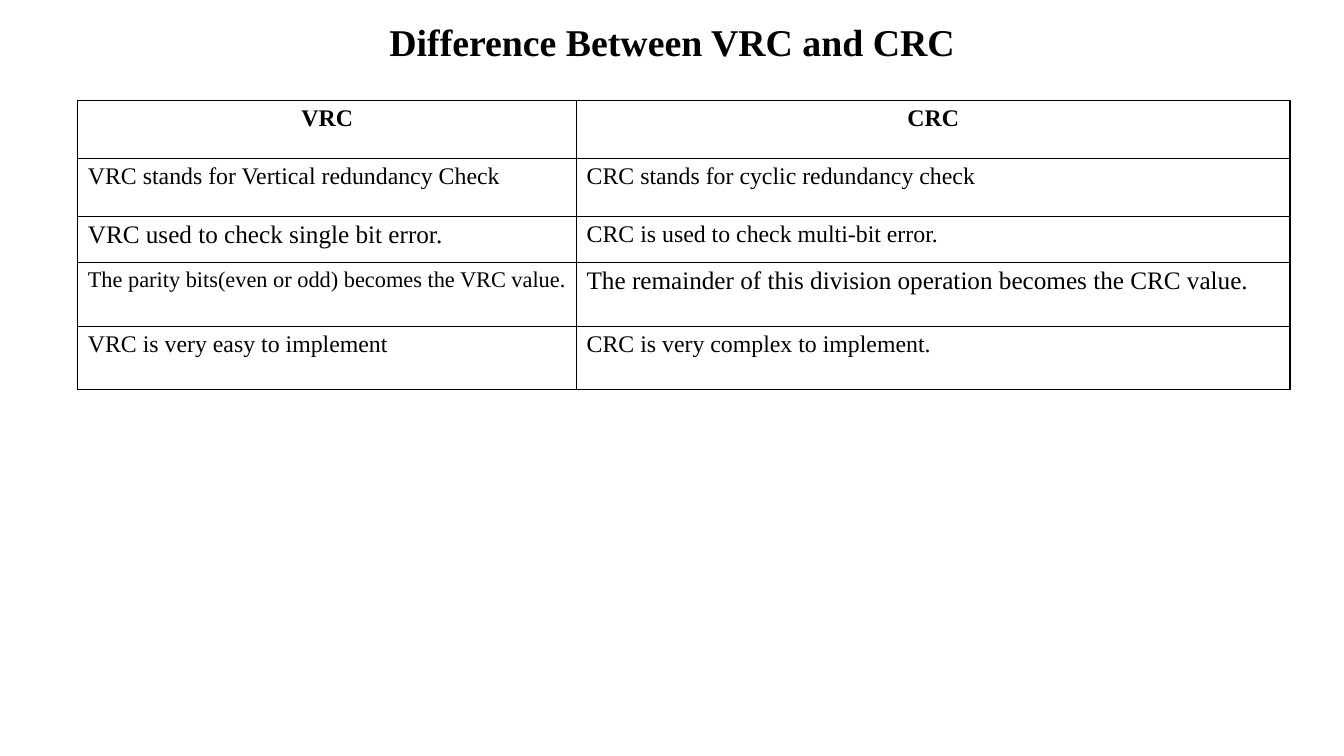
from dataclasses import dataclass

from lxml import etree
from pptx import Presentation
from pptx import util as u
from pptx.dml.color import RGBColor
from pptx.enum import text
from pptx.oxml.ns import qn


@dataclass(frozen=True)
class Theme:
    """Colours, font and type sizes of the slide."""
    font: str = "Times New Roman"
    ink: str = "000000"
    paper: str = "FFFFFF"
    title: int = 27
    large: int = 18
    body: int = 17
    small: int = 16
    border: int = 1


THEME = Theme()
COL_WIDTHS = (12.57, 17.98)
ROW_HEIGHTS = (1.46, 1.46, 1.16, 1.61, 1.59)
HEADINGS = ("VRC", "CRC")
COMPARISON = (
    (("VRC stands for Vertical redundancy Check", THEME.body),
     ("CRC stands for cyclic redundancy check", THEME.body)),
    (("VRC used to check single bit error.", THEME.large),
     ("CRC is used to check multi-bit error.", THEME.body)),
    (("The parity bits(even or odd) becomes the VRC value.", THEME.small),
     ("The remainder of this division operation becomes the CRC value.", THEME.large)),
    (("VRC is very easy to implement", THEME.body),
     ("CRC is very complex to implement.", THEME.body)),
)


def write(tf, content, size=THEME.body, bold=False, align=text.PP_ALIGN.LEFT):
    """Put one formatted paragraph into a text frame."""
    tf.word_wrap = True
    p = tf.paragraphs[0]
    p.alignment = align
    r = p.add_run()
    r.text = content
    r.font.name = THEME.font
    r.font.size = u.Pt(size)
    r.font.bold = bold
    r.font.color.rgb = RGBColor.from_string(THEME.ink)


def add_title(s, content):
    """Add the centred slide title."""
    sp = s.shapes.add_textbox(u.Cm(1.7), u.Cm(0.33), u.Cm(30.48), u.Cm(1.42))
    sp.text_frame.vertical_anchor = text.MSO_ANCHOR.MIDDLE
    write(sp.text_frame, content, size=THEME.title, bold=True,
          align=text.PP_ALIGN.CENTER)


def style_cell(cell):
    """Give a cell a plain fill and a thin line on every side."""
    tc_pr = cell._tc.get_or_add_tcPr()
    for side in ("lnL", "lnR", "lnT", "lnB"):
        ln = etree.SubElement(tc_pr, qn(f"a:{side}"), w=str(u.Pt(THEME.border)))
        fill = etree.SubElement(ln, qn("a:solidFill"))
        etree.SubElement(fill, qn("a:srgbClr"), val=THEME.ink)
    cell.fill.solid()
    cell.fill.fore_color.rgb = RGBColor.from_string(THEME.paper)


def add_comparison(s):
    """Add the two-column comparison table."""
    table = s.shapes.add_table(
        len(ROW_HEIGHTS), len(COL_WIDTHS), u.Cm(1.96), u.Cm(2.53),
        u.Cm(sum(COL_WIDTHS)), u.Cm(sum(ROW_HEIGHTS))).table
    table.horz_banding = False
    for column, width in zip(table.columns, COL_WIDTHS):
        column.width = u.Cm(width)
    for row, height in zip(table.rows, ROW_HEIGHTS):
        row.height = u.Cm(height)
    for cell in table.iter_cells():
        style_cell(cell)
    for col, heading in enumerate(HEADINGS):
        write(table.cell(0, col).text_frame, heading, bold=True,
              align=text.PP_ALIGN.CENTER)
    for row, entries in enumerate(COMPARISON, start=1):
        for col, (content, size) in enumerate(entries):
            write(table.cell(row, col).text_frame, content, size=size)


def main():
    """Build and save the slide."""
    prs = Presentation()
    prs.slide_width, prs.slide_height = u.Cm(33.87), u.Cm(19.05)
    s = prs.slides.add_slide(prs.slide_layouts[6])
    add_title(s, "Difference Between VRC and CRC")
    add_comparison(s)
    prs.save("out.pptx")


if __name__ == "__main__":
    main()
